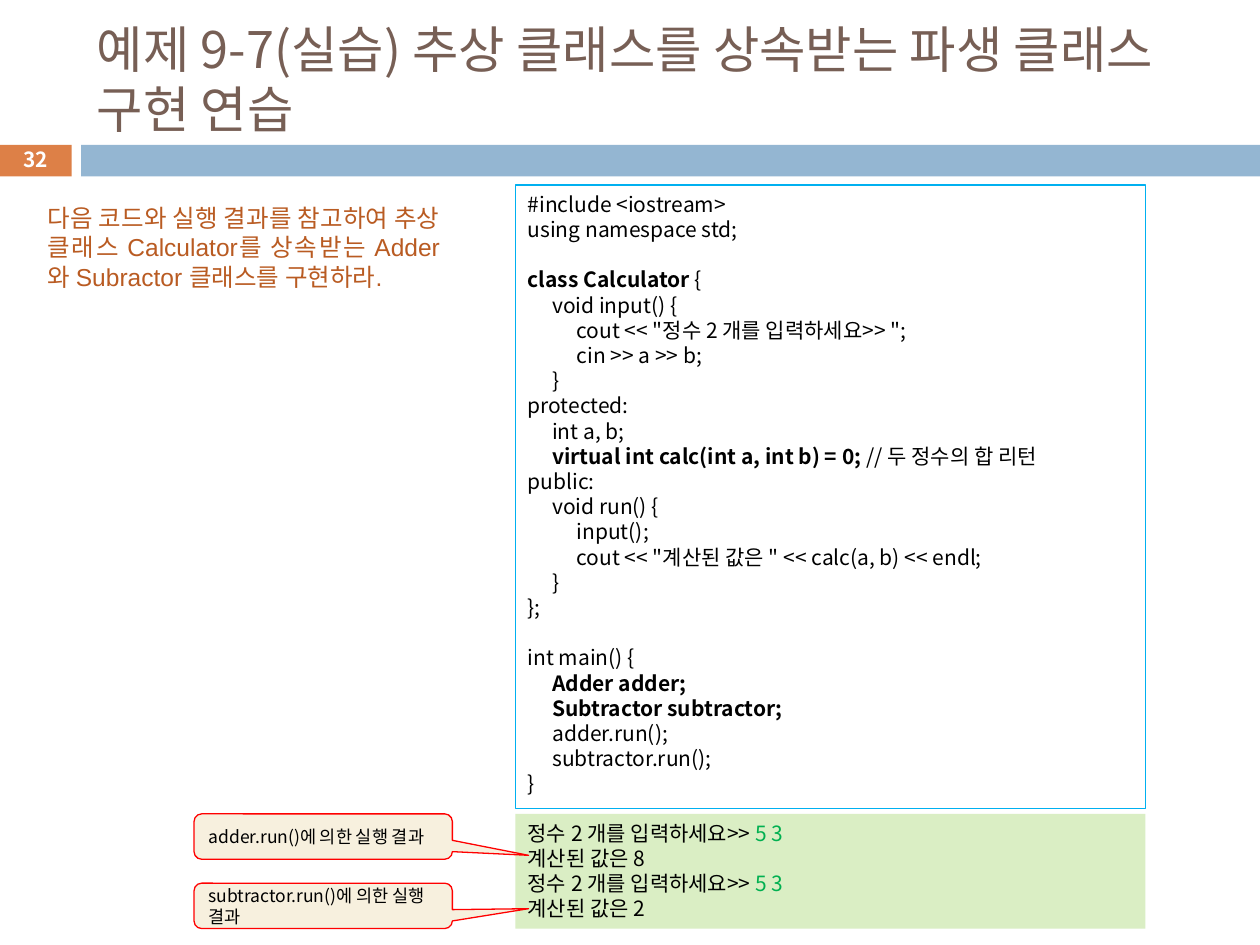
from dataclasses import dataclass
from typing import Optional

from lxml.etree import SubElement
from pptx import Presentation
from pptx.dml.color import RGBColor
from pptx.enum.shapes import MSO_SHAPE
from pptx.enum.text import MSO_ANCHOR, MSO_AUTO_SIZE, PP_ALIGN
from pptx.oxml.ns import qn
from pptx.util import Pt

BLACK = RGBColor(0x00, 0x00, 0x00)
WHITE = RGBColor(0xFF, 0xFF, 0xFF)
BROWN = RGBColor(0x77, 0x5F, 0x55)
RUST = RGBColor(0xB9, 0x5B, 0x22)
ORANGE = RGBColor(0xDD, 0x80, 0x47)
BLUE = RGBColor(0x94, 0xB6, 0xD2)
CYAN = RGBColor(0x00, 0xB0, 0xF0)
GREEN = RGBColor(0x00, 0xB0, 0x50)
LIME = RGBColor(0xDA, 0xEE, 0xC4)
CREAM = RGBColor(0xF7, 0xF0, 0xDE)
RED = RGBColor(0xFF, 0x00, 0x00)

SANS = "Noto Sans CJK KR"
LEAD = 1.2
TAB = 14


@dataclass(frozen=True)
class Box:
    left: float
    top: float
    width: float
    height: float

    def spot(self) -> tuple:
        return Pt(self.left), Pt(self.top), Pt(self.width), Pt(self.height)


@dataclass(frozen=True)
class Piece:
    text: str
    bold: bool = False
    color: RGBColor = BLACK


@dataclass(frozen=True)
class Line:
    chunks: tuple
    gap: bool = False


@dataclass(frozen=True)
class Style:
    size: float
    font: str = SANS
    align: PP_ALIGN = PP_ALIGN.LEFT
    anchor: MSO_ANCHOR = MSO_ANCHOR.TOP


@dataclass(frozen=True)
class Callout:
    text: str
    top: float
    tip: float


def plain(text: str, gap: bool = False) -> Line:
    return Line((Piece(text),), gap)


CODE = [
    plain("#include <iostream>"),
    plain("using namespace std;"),
    Line((Piece("class Calculator ", True), Piece("{")), True),
    plain("\tvoid input() {"),
    plain("\t\tcout << \"정수 2 개를 입력하세요>> \";"),
    plain("\t\tcin >> a >> b;"),
    plain("\t}"),
    plain("protected:"),
    plain("\tint a, b;"),
    Line((Piece("\tvirtual int calc(int a, int b) = 0; ", True),
          Piece("// 두 정수의 합 리턴"))),
    plain("public:"),
    plain("\tvoid run() {"),
    plain("\t\tinput();"),
    plain("\t\tcout << \"계산된 값은 \" << calc(a, b) << endl;"),
    plain("\t}"),
    plain("};"),
    plain("int main() {", True),
    Line((Piece("\tAdder adder;", True),)),
    Line((Piece("\tSubtractor subtractor;", True),)),
    plain("\tadder.run();"),
    plain("\tsubtractor.run();"),
    plain("}"),
]
PROMPT = Line((Piece("정수 2 개를 입력하세요>> "), Piece("5 3", color=GREEN)))
OUTPUT = [PROMPT, plain("계산된 값은 8"), PROMPT, plain("계산된 값은 2")]
TASK = ("다음 코드와 실행 결과를 참고하여 추상 클래스 Calculator를 상속받는 "
        "Adder와 Subractor 클래스를 구현하라.")
CALLS = [
    Callout("adder.run()에 의한 실행 결과", 465.1, 0.414),
    Callout("subtractor.run()에 의한 실행 결과", 504.7, 0.063),
]


def set_tabs(para) -> None:
    tabs = SubElement(para._p.get_or_add_pPr(), qn("a:tabLst"))
    for step in (1, 2):
        SubElement(tabs, qn("a:tab"), pos=str(Pt(TAB * step)), algn="l")


def write(shape, lines: list, style: Style) -> None:
    frame = shape.text_frame
    frame.word_wrap = True
    frame.auto_size = MSO_AUTO_SIZE.NONE
    frame.vertical_anchor = style.anchor
    for index, line in enumerate(lines):
        para = frame.add_paragraph() if index else frame.paragraphs[0]
        para.alignment = style.align
        para.line_spacing = Pt(style.size * LEAD)
        para.space_before = Pt(style.size * LEAD if line.gap else 0)
        if line.chunks[0].text.startswith("\t"):
            set_tabs(para)
        for piece in line.chunks:
            run = para.add_run()
            run.text = piece.text
            font = run.font
            font.name = style.font
            font.size = Pt(style.size)
            font.bold = piece.bold
            font.color.rgb = piece.color
            SubElement(run._r.get_or_add_rPr(), qn("a:ea"), typeface=SANS)


def draw(slide, box: Box, fill: Optional[RGBColor] = None,
         edge: Optional[RGBColor] = None, kind: MSO_SHAPE = MSO_SHAPE.RECTANGLE):
    shape = slide.shapes.add_shape(kind, *box.spot())
    shape.shadow.inherit = False
    if fill is None:
        shape.fill.background()
    else:
        shape.fill.solid()
        shape.fill.fore_color.rgb = fill
    if edge is None:
        shape.line.fill.background()
    else:
        shape.line.color.rgb = edge
        shape.line.width = Pt(0.75)
    return shape


def add_text(slide, box: Box, line: Line, style: Style) -> None:
    write(slide.shapes.add_textbox(*box.spot()), [line], style)


def add_call(slide, call: Callout) -> None:
    shape = draw(slide, Box(110.9, call.top, 147.6, 25.9), CREAM, RED,
                 MSO_SHAPE.ROUNDED_RECTANGULAR_CALLOUT)
    for index, value in enumerate((0.795, call.tip, 0.167)):
        shape.adjustments[index] = value
    write(shape, [plain(call.text)], Style(10, anchor=MSO_ANCHOR.MIDDLE))


def main() -> None:
    deck = Presentation()
    deck.slide_width, deck.slide_height = Pt(720), Pt(540)
    slide = deck.slides.add_slide(deck.slide_layouts[5])

    draw(slide, Box(0, 82.8, 41, 18), ORANGE)
    draw(slide, Box(46.4, 82.8, 673.6, 18), BLUE)

    title = slide.shapes.title
    title.left, title.top, title.width, title.height = Box(48.2, 18, 642.2, 53.3).spot()
    head = Piece("예제 9-7(실습) 추상 클래스를 상속받는 파생 클래스 구현 연습", color=BROWN)
    write(title, [Line((head,))], Style(28.8, anchor=MSO_ANCHOR.MIDDLE))

    add_text(slide, Box(-0.7, 81.4, 41.8, 19.4), Line((Piece("32", True, WHITE),)),
             Style(11.9, align=PP_ALIGN.CENTER, anchor=MSO_ANCHOR.MIDDLE))
    write(draw(slide, Box(294.5, 105.8, 360, 356.4), edge=CYAN), CODE, Style(12))
    write(draw(slide, Box(294.5, 465.1, 360, 65.5), LIME), OUTPUT, Style(12))
    add_text(slide, Box(20.2, 112.3, 238.3, 74.9), Line((Piece(TASK, color=RUST),)),
             Style(14, "Arial", PP_ALIGN.JUSTIFY))
    for call in CALLS:
        add_call(slide, call)

    deck.save("out.pptx")


if __name__ == "__main__":
    main()
